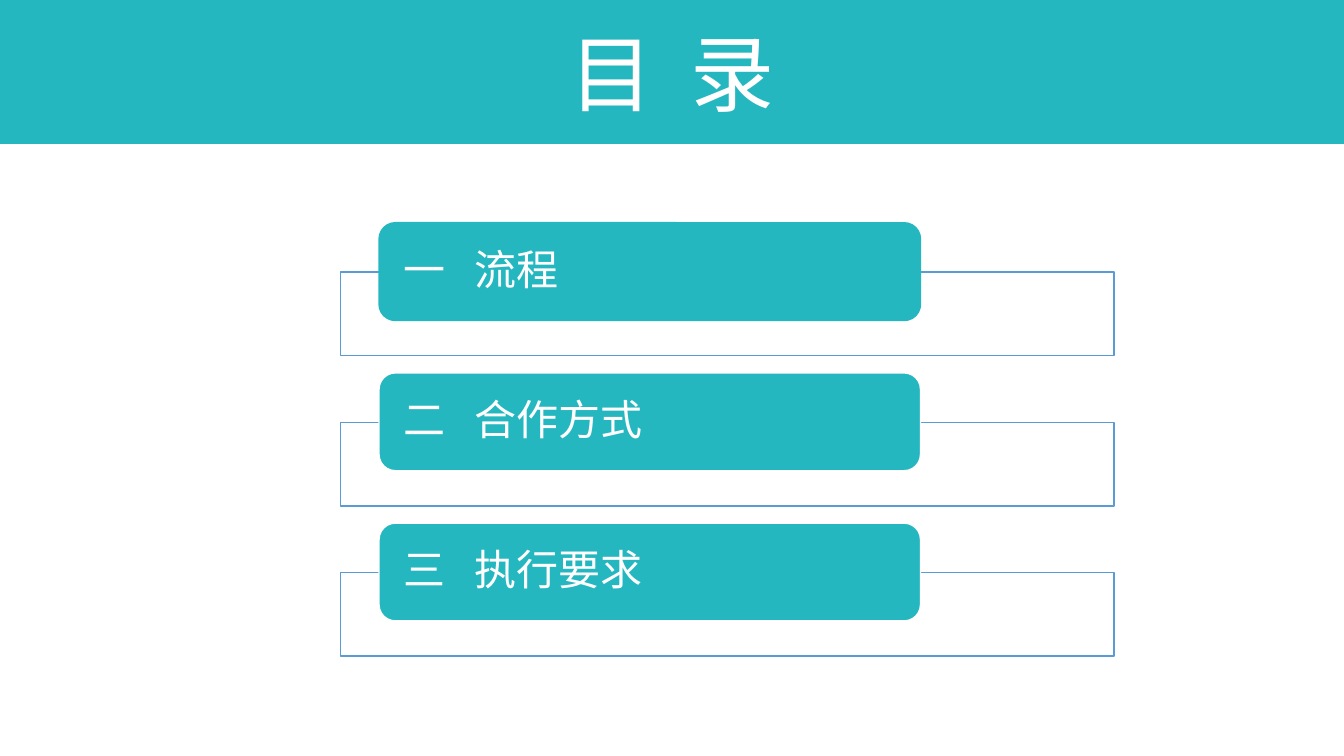
import pptx
import pptx.dml.color
import pptx.enum.shapes
import pptx.enum.text
import pptx.oxml.ns
import pptx.util
from lxml import etree
from pptx.util import Inches, Pt

TEAL = pptx.dml.color.RGBColor(0x25, 0xB7, 0xC0)
BLUE = pptx.dml.color.RGBColor(0x5B, 0x9B, 0xD5)
WHITE = pptx.dml.color.RGBColor(0xFF, 0xFF, 0xFF)
FONT = "Noto Sans CJK SC"
SHAPES = pptx.enum.shapes.MSO_SHAPE
ENTRIES = [("一", "流程"), ("二", "合作方式"), ("三", "执行要求")]
FIRST_TOP, ROW_STEP = 2.21, 1.49


def add_xml(parent, tag, **attributes):
    return etree.SubElement(parent, pptx.oxml.ns.qn(tag), **attributes)


def paint(shape, fill, line):
    shape.fill.solid()
    shape.fill.fore_color.rgb = fill
    shape.line.color.rgb = line
    shape.line.width = Pt(1)


def style_font(font, size):
    font.name = FONT
    font.size = Pt(size)
    font.color.rgb = WHITE


def set_east_asian(para):
    for span in para.runs:
        add_xml(span.font._element, "a:ea", typeface=FONT)


def add_box(page, kind, left, top, width, height, fill, line):
    box = page.shapes.add_shape(
        kind, Inches(left), Inches(top), Inches(width), Inches(height))
    box.shadow.inherit = False
    paint(box, fill, line)
    return box


def add_title(page, width):
    title = page.shapes.title
    title.left, title.top = 0, 0
    title.width, title.height = width, Inches(1.42)
    paint(title, TEAL, TEAL)
    title.text_frame.vertical_anchor = pptx.enum.text.MSO_ANCHOR.MIDDLE
    para = title.text_frame.paragraphs[0]
    para.alignment = pptx.enum.text.PP_ALIGN.CENTER
    for text in ("目 ", "录"):
        span = para.add_run()
        span.text = text
        style_font(span.font, 60)
    # Widen the gap between the two characters
    para.runs[0].font._element.set("spc", "675")
    set_east_asian(para)


def add_entry(page, top, number, label, outline):
    """Draw one contents row: a frame with a numbered label over it."""
    add_box(page, SHAPES.RECTANGLE, 3.38, top + 0.49, 7.67, 0.83, WHITE, BLUE)
    box = add_box(page, SHAPES.ROUNDED_RECTANGLE, 3.76, top, 5.37, 0.97,
                  TEAL, outline)
    frame = box.text_frame
    frame.word_wrap = True
    frame.vertical_anchor = pptx.enum.text.MSO_ANCHOR.MIDDLE
    frame.margin_left = frame.margin_right = Inches(0.2)
    frame.margin_top = frame.margin_bottom = 0
    para = frame.paragraphs[0]
    para.alignment = pptx.enum.text.PP_ALIGN.LEFT
    para.line_spacing = 0.9
    tabs = add_xml(para._p.get_or_add_pPr(), "a:tabLst")
    add_xml(tabs, "a:tab", pos=str(Inches(0.7)), algn="l")
    span = para.add_run()
    span.text = f"{number}\t{label}"
    style_font(span.font, 30)
    set_east_asian(para)


def main():
    deck = pptx.Presentation()
    deck.slide_width, deck.slide_height = Inches(13.33), Inches(7.5)
    page = deck.slides.add_slide(deck.slide_layouts[5])
    add_title(page, deck.slide_width)
    for index, (number, label) in enumerate(ENTRIES):
        outline = WHITE if index else TEAL
        add_entry(page, FIRST_TOP + index * ROW_STEP, number, label, outline)
    deck.save("out.pptx")


if __name__ == "__main__":
    main()
